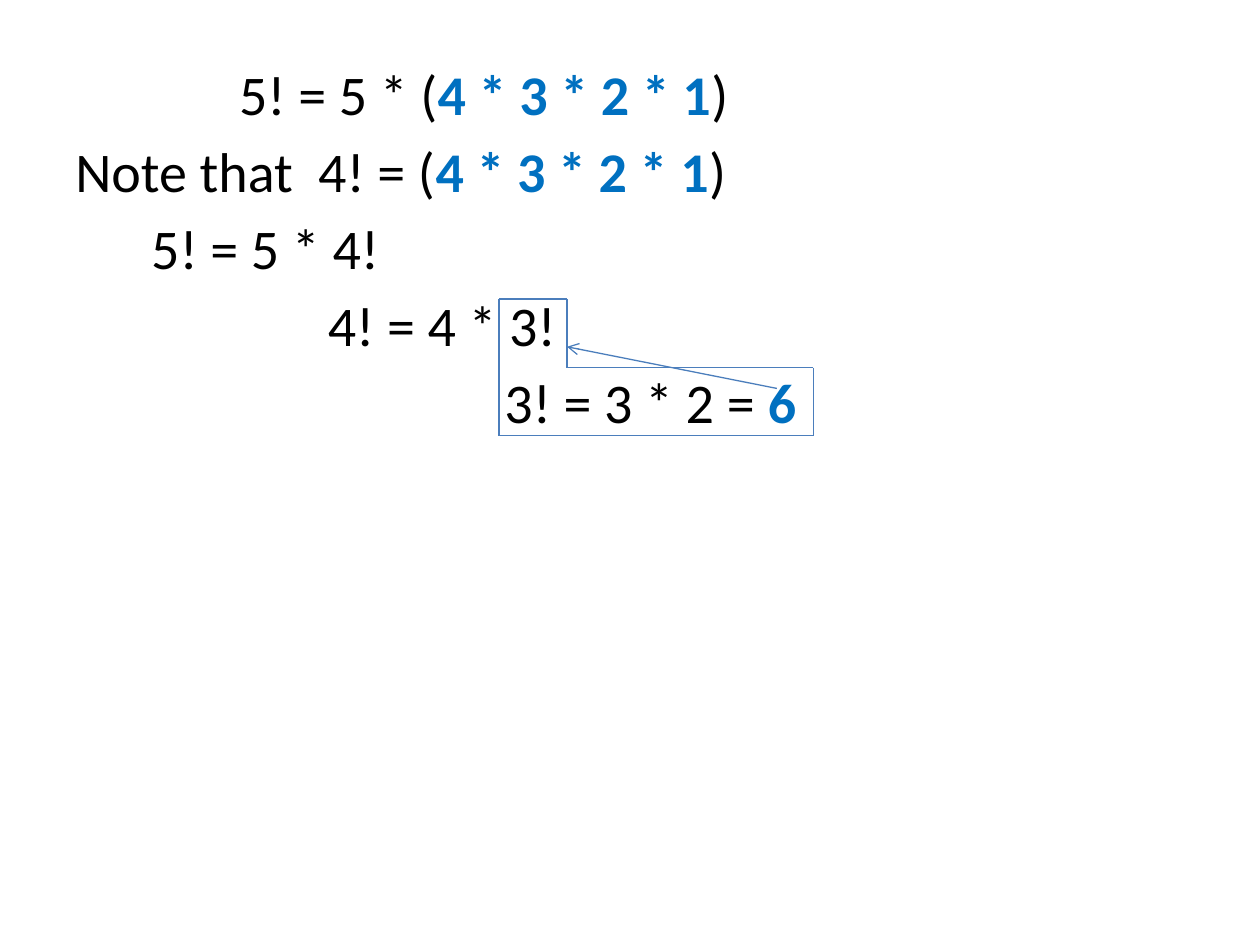
"""Build a slide that unfolds 5! step by step."""
from itertools import pairwise

from lxml import etree
from pptx import Presentation
from pptx.dml.color import RGBColor
from pptx.enum.shapes import MSO_CONNECTOR
from pptx.oxml.ns import qn
from pptx.util import Cm, Pt

LINE = MSO_CONNECTOR.STRAIGHT
BLACK = RGBColor(0x00, 0x00, 0x00)
BLUE = RGBColor(0x00, 0x70, 0xC0)
STEEL = RGBColor(0x4B, 0x7E, 0xBC)

CHAIN = "4 * 3 * 2 * 1"
STEPS = [
    (3.3, "5! = 5 * (", CHAIN, ")"),
    (0, "Note that  4! = (", CHAIN, ")"),
    (1.53, "5! = 5 * 4!", "", ""),
    (5.09, "4! = 4 * 3!", "", ""),
    (8.65, "3! = 3 * 2 = ", "6", ""),
]
LEFT, STEP, RIGHT = 10.06, 11.43, 16.4
TOP, SHELF, BASE = 6.03, 7.41, 8.78
FRAME = [
    (LEFT, BASE), (LEFT, TOP), (STEP, TOP), (STEP, SHELF),
    (RIGHT, SHELF), (RIGHT, BASE), (LEFT, BASE),
]
ARROW = [(15.66, 7.83), (STEP, 6.99)]


def add_line(slide, start, end):
    line = slide.shapes.add_connector(LINE, *map(Cm, start + end))
    line.line.color.rgb = STEEL
    line.line.width = Pt(0.75)
    etree.SubElement(line._element.spPr, qn("a:effectLst"))
    return line


def add_steps(slide):
    box = slide.shapes.add_textbox(Cm(1.27), Cm(1.07), Cm(24.13), Cm(15.95))
    frame = box.text_frame
    frame.word_wrap = True
    for i, (indent, *parts) in enumerate(STEPS):
        para = frame.add_paragraph() if i else frame.paragraphs[0]
        para._p.get_or_add_pPr().set("marL", str(Cm(indent)))
        para.space_before = Pt(5.7 if i else 0)
        for part, bold in zip(parts, (False, True, False)):
            if part:
                run = para.add_run()
                run.text = part
                run.font.name = "Calibri"
                run.font.size = Pt(32)
                run.font.bold = bold
                run.font.color.rgb = BLUE if bold else BLACK


def main():
    deck = Presentation()
    deck.slide_width, deck.slide_height = Cm(25.4), Cm(19.05)
    slide = deck.slides.add_slide(deck.slide_layouts[6])
    add_steps(slide)
    arrow = add_line(slide, *ARROW)
    etree.SubElement(arrow.line._get_or_add_ln(), qn("a:tailEnd"), type="arrow")
    for start, end in pairwise(FRAME):
        add_line(slide, start, end)
    deck.save("out.pptx")


if __name__ == "__main__":
    main()
